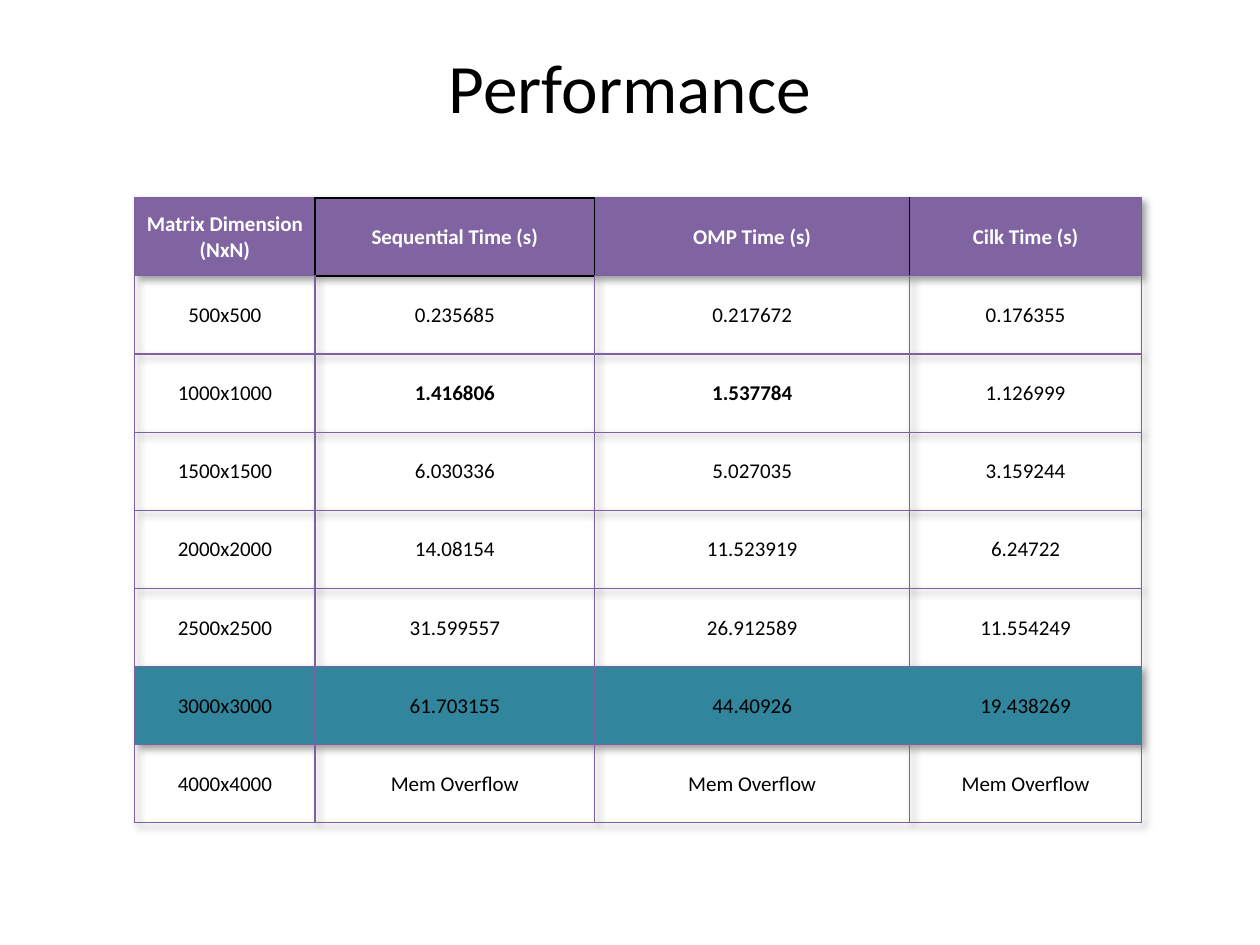
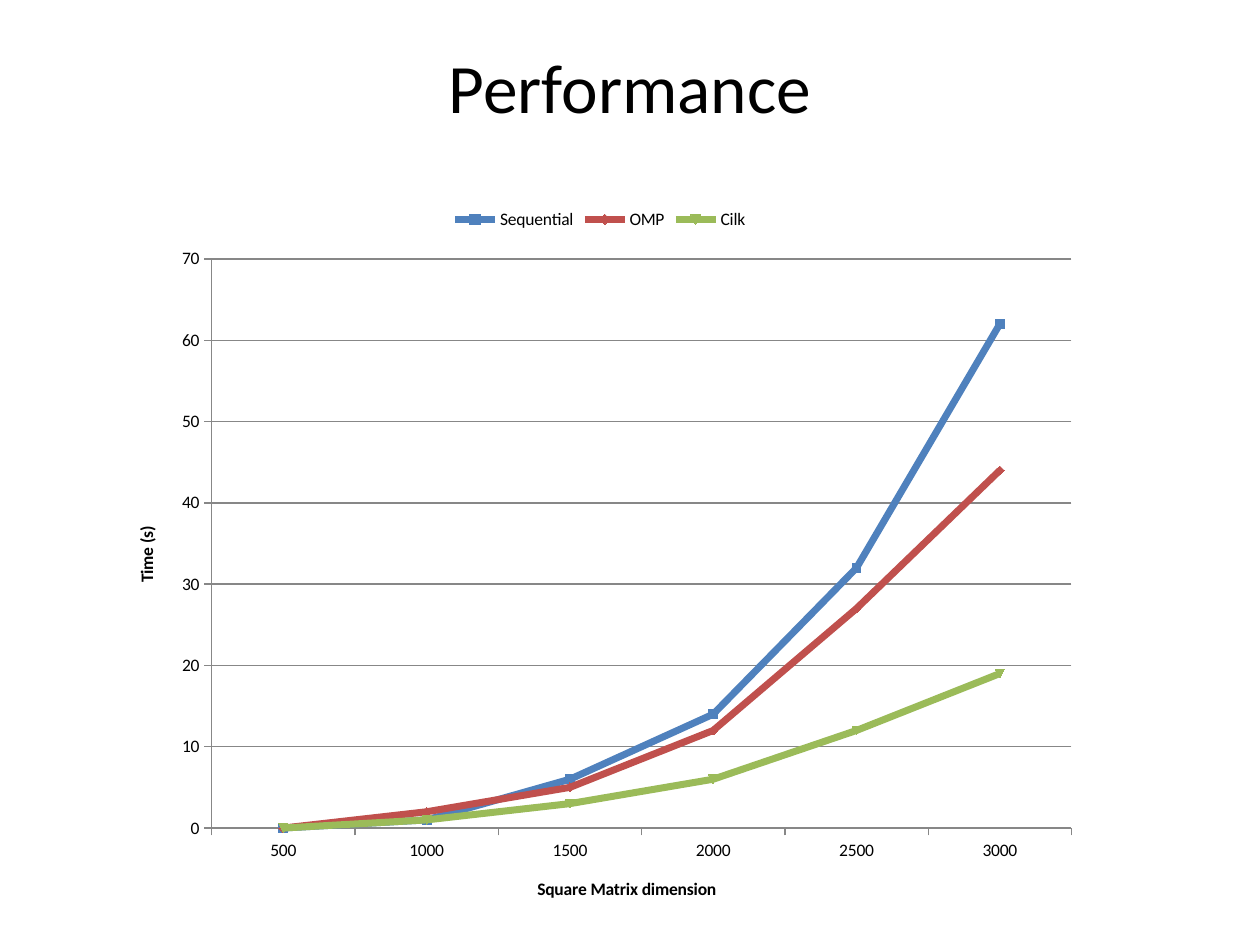
from lxml import etree
from pptx import Presentation
from pptx.chart.data import CategoryChartData
from pptx.dml.color import RGBColor
from pptx.enum.chart import XL_CHART_TYPE, XL_LEGEND_POSITION, XL_TICK_MARK
from pptx.enum.text import MSO_ANCHOR, PP_ALIGN
from pptx.oxml import parse_xml
from pptx.oxml.ns import nsdecls, qn
from pptx.util import Inches, Pt

CENTER = PP_ALIGN.CENTER
MIDDLE = MSO_ANCHOR.MIDDLE
LINE_MARKERS = XL_CHART_TYPE.LINE_MARKERS
LEGEND_TOP = XL_LEGEND_POSITION.TOP
TICK_OUT = XL_TICK_MARK.OUTSIDE

# Shared look
FONT = "Calibri"
BLACK, WHITE, GREY = "000000", "FFFFFF", "878787"
PURPLE, BORDER, TEAL = "8064A2", "7D60A0", "31859C"
SERIES_COLORS = {"Sequential": "4F81BD", "OMP": "C0504D", "Cilk": "9BBB59"}

# Measured times, used by the table and, in whole seconds, by the chart
TIMES = {
    500: ("0.235685", "0.217672", "0.176355"),
    1000: ("1.416806", "1.537784", "1.126999"),
    1500: ("6.030336", "5.027035", "3.159244"),
    2000: ("14.08154", "11.523919", "6.24722"),
    2500: ("31.599557", "26.912589", "11.554249"),
    3000: ("61.703155", "44.40926", "19.438269"),
}
COL_WIDTHS = (1.43, 2.22, 2.5, 1.84)
ROW_HEIGHT = 0.62
HIGHLIGHT_ROW = 6
BOLD_CELLS = {(2, 1), (2, 2)}


def rgb(color):
    return RGBColor.from_string(color)


def format_font(font, size=12, color=BLACK, bold=False):
    font.name, font.size, font.bold = FONT, Pt(size), bold
    font.color.rgb = rgb(color)


def write(tf, text, **fmt):
    p = tf.paragraphs[0]
    p.alignment = CENTER
    r = p.add_run()
    r.text = text
    format_font(r.font, **fmt)


def add_title_slide(prs, title):
    s = prs.slides.add_slide(prs.slide_layouts[5])
    sp = s.shapes.title
    sp.left, sp.top = Inches(0.5), Inches(0.3)
    sp.width, sp.height = Inches(9), Inches(0.76)
    sp.text_frame.vertical_anchor = MIDDLE
    write(sp.text_frame, title, size=39.6)
    return s


def set_borders(cell, black_sides):
    tc_pr = cell._tc.get_or_add_tcPr()
    for i, side in enumerate("LRTB"):
        color, width = (BLACK, 1) if side in black_sides else (BORDER, 0.75)
        tc_pr.insert(i, parse_xml(
            f'<a:ln{side} {nsdecls("a")} w="{Pt(width)}"><a:solidFill>'
            f'<a:srgbClr val="{color}"/></a:solidFill></a:ln{side}>'))


def add_table_shadow(table):
    table._tbl.tblPr.insert(0, parse_xml(
        f'<a:effectLst {nsdecls("a")}><a:outerShdw blurRad="50800" dist="38100" '
        'dir="2700000" algn="tl" rotWithShape="0"><a:srgbClr val="000000">'
        '<a:alpha val="40000"/></a:srgbClr></a:outerShdw></a:effectLst>'))


def format_cell(cell, text, fill=None, black_sides="", **fmt):
    cell.vertical_anchor = MIDDLE
    cell.margin_left = cell.margin_right = cell.margin_top = Inches(0.01)
    cell.margin_bottom = 0
    if fill:
        cell.fill.solid()
        cell.fill.fore_color.rgb = rgb(fill)
    else:
        cell.fill.background()
    set_borders(cell, black_sides)
    write(cell.text_frame, text, **fmt)


def add_times_table(s):
    header = ["Matrix Dimension (NxN)"] + [f"{name} Time (s)" for name in SERIES_COLORS]
    rows = [header]
    rows += [[f"{n}x{n}", *times] for n, times in TIMES.items()]
    rows.append(["4000x4000"] + ["Mem Overflow"] * len(SERIES_COLORS))
    table = s.shapes.add_table(
        len(rows), len(header), Inches(1.07), Inches(1.57),
        Inches(sum(COL_WIDTHS)), Inches(ROW_HEIGHT * len(rows))).table
    table.first_row = table.horz_banding = False
    add_table_shadow(table)
    for col, width in zip(table.columns, COL_WIDTHS):
        col.width = Inches(width)

    # Black lines part the header cells and frame the sequential one
    header_sides = ("R", "LRTB", "LR", "L")
    for i, row in enumerate(rows):
        table.rows[i].height = Inches(ROW_HEIGHT)
        for j, text in enumerate(row):
            cell = table.cell(i, j)
            if i == 0:
                format_cell(cell, text, PURPLE, header_sides[j], color=WHITE, bold=True)
            else:
                format_cell(cell, text, TEAL if i == HIGHLIGHT_ROW else None,
                            "T" if (i, j) == (1, 1) else "",
                            bold=(i, j) in BOLD_CELLS)


def format_axis(axis, title):
    axis.major_tick_mark = TICK_OUT
    axis.format.line.color.rgb = rgb(GREY)
    write(axis.axis_title.text_frame, title, size=10, bold=True)


def place_plot(chart, **box):
    plot_area = chart._chartSpace.chart.plotArea
    for layout in plot_area.findall(qn("c:layout")):
        plot_area.remove(layout)
    layout = etree.Element(qn("c:layout"))
    manual = etree.SubElement(layout, qn("c:manualLayout"))
    parts = {"layoutTarget": "inner", "xMode": "edge", "yMode": "edge", **box}
    for name, value in parts.items():
        etree.SubElement(manual, qn(f"c:{name}")).set("val", str(value))
    plot_area.insert(0, layout)


def add_times_chart(s):
    data = CategoryChartData()
    data.categories = [str(n) for n in TIMES]
    for name, values in zip(SERIES_COLORS, zip(*TIMES.values())):
        data.add_series(name, [round(float(v)) for v in values])
    chart = s.shapes.add_chart(LINE_MARKERS, Inches(0.87), Inches(1.55),
                               Inches(7.79), Inches(5.82), data).chart
    format_font(chart.font, size=10)
    chart.has_title = False
    chart.has_legend = True
    chart.legend.position = LEGEND_TOP
    chart.legend.include_in_layout = False
    place_plot(chart, x=0.104, y=0.087, w=0.876, h=0.776)

    # Axes
    format_axis(chart.category_axis, "Square Matrix dimension")
    value_axis = chart.value_axis
    format_axis(value_axis, "Time (s)")
    value_axis.minimum_scale, value_axis.maximum_scale = 0, 70
    value_axis.major_unit = 10
    value_axis.major_gridlines.format.line.color.rgb = rgb(GREY)

    # Lines
    plot = chart.plots[0]
    plot.vary_by_categories = False
    for series in plot.series:
        color = rgb(SERIES_COLORS[series.name])
        series.smooth = False
        series.format.line.width = Pt(4)
        series.format.line.color.rgb = color
        series.marker.size = 5
        series.marker.format.fill.solid()
        series.marker.format.fill.fore_color.rgb = color
        series.marker.format.line.color.rgb = color


def main():
    prs = Presentation()
    prs.slide_width, prs.slide_height = Inches(10), Inches(7.5)
    add_times_table(add_title_slide(prs, "Performance"))
    add_times_chart(add_title_slide(prs, "Performance"))
    prs.save("out.pptx")


if __name__ == "__main__":
    main()
